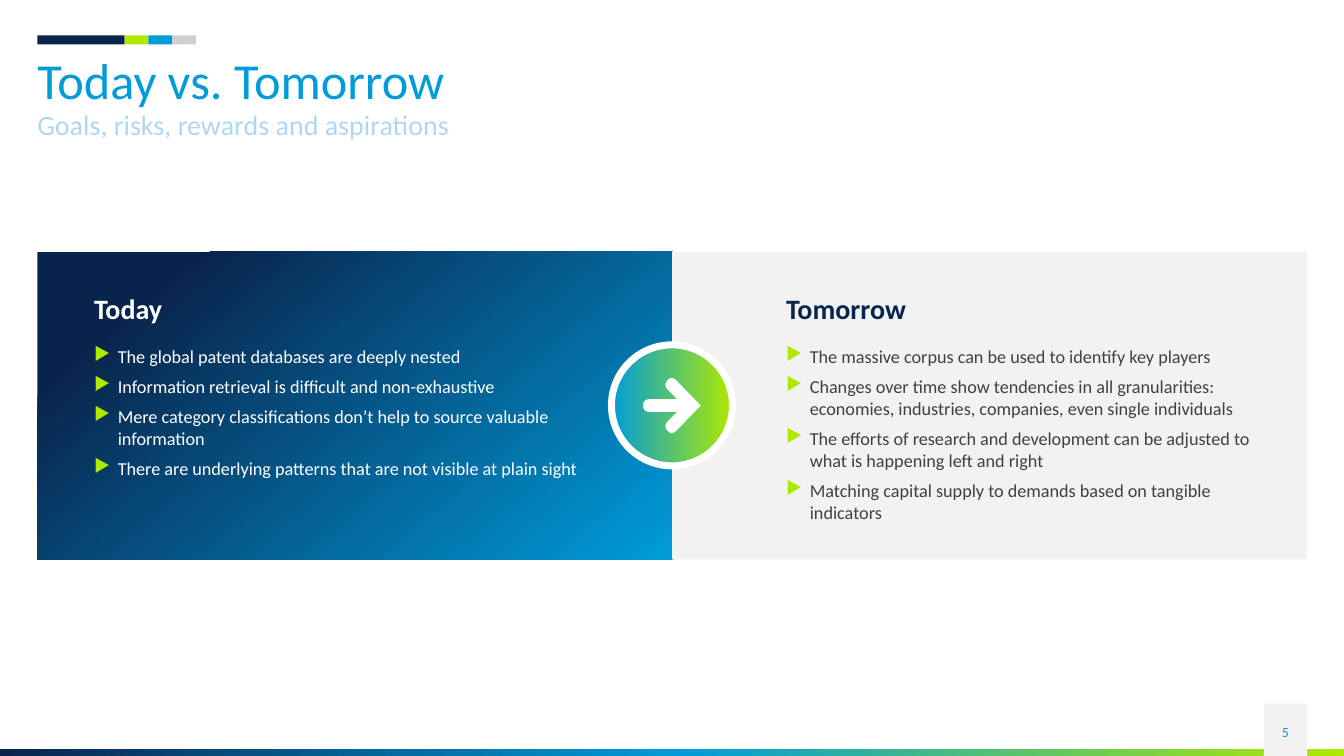
import pptx
import pptx.dml.color
import pptx.enum.shapes
import pptx.enum.text
import pptx.oxml
import pptx.oxml.ns
import pptx.util
from pptx.util import Cm

NAVY, BLUE, GREEN = "09244C", "009CDA", "B0E900"
PALE, GRAY, WHITE, TEXT = "F2F2F2", "D0CECE", "FFFFFF", "404040"
SHAPES = pptx.enum.shapes.MSO_SHAPE
MARGIN, CONTENT_WIDTH = 0.94, 32


def rgb(color):
    return pptx.dml.color.RGBColor.from_string(color)


def xml(body):
    """Parse one drawing element, given without its namespace declaration."""
    tag, rest = body.split(" ", 1)
    return pptx.oxml.parse_xml(f'{tag} {pptx.oxml.ns.nsdecls("a")} {rest}')


class Deck:
    """Holds the text style and the current slide."""
    font = "Calibri"
    bullet = "▶"
    bullet_indent = 0.6

    def __init__(self, width, height):
        self.presentation = pptx.Presentation()
        self.presentation.slide_width = Cm(width)
        self.presentation.slide_height = Cm(height)
        self.slide = self.presentation.slides.add_slide(
            self.presentation.slide_layouts[6])

    def paint(self, shape, fill, angle=0, outline=None):
        """Fill with a colour, or with a list of (percent, colour) stops."""
        shape.shadow.inherit = False
        if isinstance(fill, str):
            shape.fill.solid()
            shape.fill.fore_color.rgb = rgb(fill)
        else:
            shape.fill.gradient()
            shape.fill.gradient_angle = -angle % 360
            stops = shape._element.spPr.find(".//" + pptx.oxml.ns.qn("a:gsLst"))
            stops.clear()
            for percent, color in fill:
                stops.append(xml(f'<a:gs pos="{percent * 1000}">'
                                 f'<a:srgbClr val="{color}"/></a:gs>'))
        if outline:
            color, width = outline
            shape.line.color.rgb = rgb(color)
            shape.line.width = pptx.util.Pt(width)
        else:
            shape.line.fill.background()

    def shape(self, kind, left, top, width, height, fill, **look):
        shape = self.slide.shapes.add_shape(
            kind, Cm(left), Cm(top), Cm(width), Cm(height))
        self.paint(shape, fill, **look)

    def outline(self, points, fill):
        start, *others = [(Cm(x), Cm(y)) for x, y in points]
        builder = self.slide.shapes.build_freeform(*start)
        builder.add_line_segments(others)
        self.paint(builder.convert_to_shape(), fill)

    def text(self, left, top, width, height, lines, size, color, bold=False,
             spacing=None, bottom=0, centered=False, bulleted=False):
        box = self.slide.shapes.add_textbox(
            Cm(left), Cm(top), Cm(width), Cm(height))
        frame = box.text_frame
        frame.word_wrap = True
        frame.margin_left = frame.margin_right = frame.margin_top = 0
        frame.margin_bottom = Cm(bottom)
        frame.text = "\n".join(lines)
        if centered:
            frame.vertical_anchor = pptx.enum.text.MSO_ANCHOR.MIDDLE
        for paragraph in frame.paragraphs:
            if centered:
                paragraph.alignment = pptx.enum.text.PP_ALIGN.CENTER
            if spacing:
                paragraph.line_spacing = spacing
            if bulleted:
                self.add_bullet(paragraph)
            for run in paragraph.runs:
                run.font.name = self.font
                run.font.size = pptx.util.Pt(size)
                run.font.bold = bold
                run.font.color.rgb = rgb(color)

    def add_bullet(self, paragraph):
        paragraph.space_after = pptx.util.Pt(6)
        properties = paragraph._p.get_or_add_pPr()
        properties.set("marL", str(Cm(self.bullet_indent)))
        properties.set("indent", str(-Cm(self.bullet_indent)))
        properties.append(xml(f'<a:buClr ><a:srgbClr val="{GREEN}"/></a:buClr>'))
        properties.append(xml(f'<a:buChar char="{self.bullet}"/>'))


def main():
    deck = Deck(33.87, 19.05)

    # Footer band and page number
    deck.shape(SHAPES.RECTANGLE, 0, 18.87, 33.87, 0.18,
               [(0, NAVY), (51, BLUE), (100, GREEN)])
    deck.shape(SHAPES.RECTANGLE, 31.85, 17.73, 1.09, 1.32, PALE)
    deck.text(31.85, 17.93, 1.09, 1.02, ["5"], 10, BLUE, centered=True)

    # Colour strip above the title
    strip_left = MARGIN
    for width, color in [(2.2, NAVY), (0.6, GREEN), (0.6, BLUE), (0.6, GRAY)]:
        deck.shape(SHAPES.RECTANGLE, strip_left, 0.89, width, 0.23, color)
        strip_left += width

    # Title and subtitle
    deck.text(MARGIN, 1.42, CONTENT_WIDTH, 1.4, ["Today vs. Tomorrow"],
              36, BLUE, spacing=0.9)
    deck.text(MARGIN, 2.8, CONTENT_WIDTH, 0.9,
              ["Goals, risks, rewards and aspirations"],
              20, "AED8EF", spacing=0.9)

    # Today and Tomorrow panels: fill, text left, heading, points
    panel_width = CONTENT_WIDTH / 2
    panels = [
        ([(16, NAVY), (100, BLUE)], 2.37, "Today", WHITE, WHITE, [
            "The global patent databases are deeply nested",
            "Information retrieval is difficult and non-exhaustive",
            "Mere category classifications don’t help to source valuable "
            "information",
            "There are underlying patterns that are not visible at plain sight",
        ]),
        (PALE, 19.81, "Tomorrow", NAVY, TEXT, [
            "The massive corpus can be used to identify key players",
            "Changes over time show tendencies in all granularities: "
            "economies, industries, companies, even single individuals",
            "The efforts of research and development can be adjusted to what "
            "is happening left and right",
            "Matching capital supply to demands based on tangible indicators",
        ]),
    ]
    for index, (fill, left, heading, heading_color, color, points) in enumerate(panels):
        deck.shape(SHAPES.RECTANGLE, MARGIN + index * panel_width, 6.35,
                   panel_width, 7.75, fill, angle=50)
        deck.text(left, 7.34, 13.13, 0.97, [heading], 20, heading_color,
                  bold=True, bottom=0.1)
        deck.text(left, 8.69, 12.24, 4.6, points, 13, color,
                  bottom=0.1, bulleted=True)

    # Round badge between the panels
    deck.shape(SHAPES.OVAL, 15.41, 8.69, 3.05, 3.05,
               [(0, BLUE), (100, GREEN)], outline=(WHITE, 5))

    # Arrow in the badge: upper half from tip to tail, then its mirror
    axis = 10.22
    upper = [(17.66, axis), (17.04, 9.58), (16.98, 9.54), (16.92, 9.52),
             (16.86, 9.55), (16.81, 9.6), (16.78, 9.65), (16.77, 9.7),
             (16.78, 9.75), (16.81, 9.8), (17.07, 10.06), (16.33, 10.06),
             (16.26, 10.09), (16.22, 10.14), (16.2, axis)]
    lower = [(x, 2 * axis - y) for x, y in reversed(upper[1:-1])]
    deck.outline(upper + lower, WHITE)

    deck.presentation.save("out.pptx")


if __name__ == "__main__":
    main()
